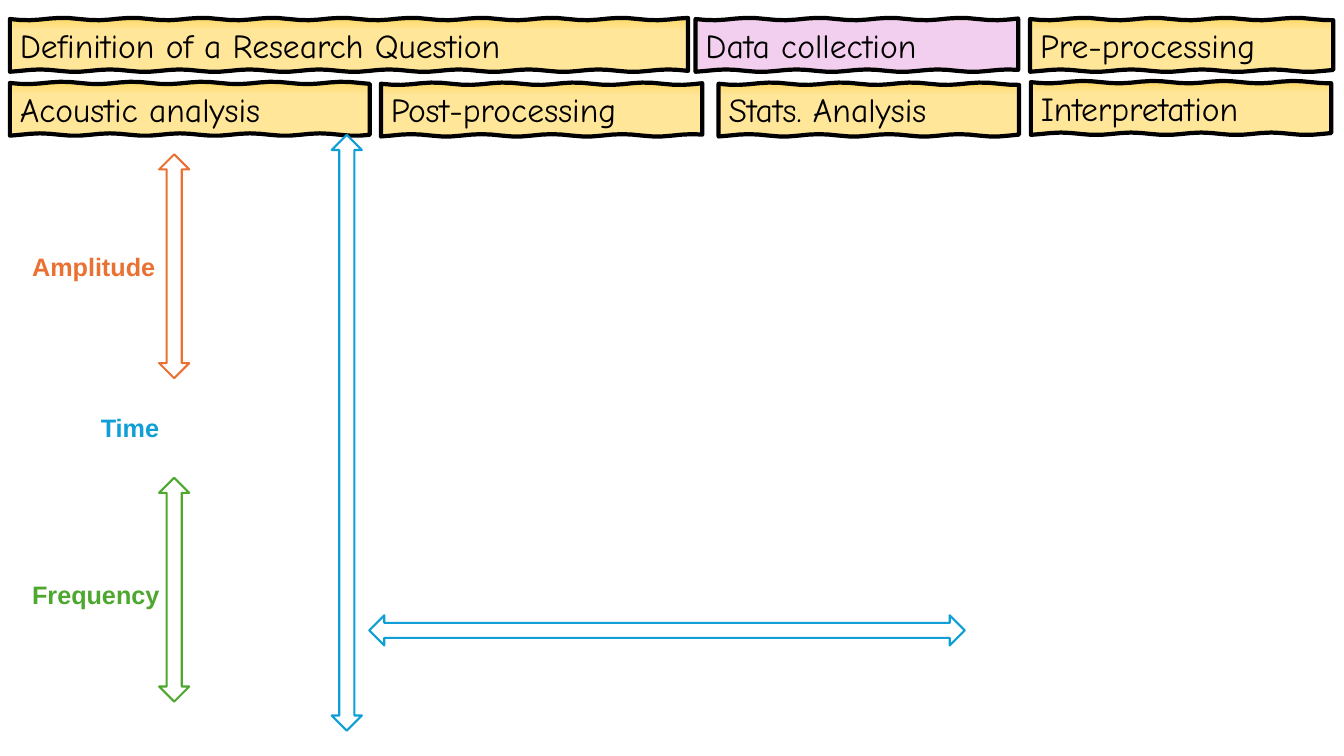
from math import pi, sin

from pptx import Presentation
from pptx.dml.color import RGBColor
from pptx.enum.shapes import MSO_SHAPE
from pptx.enum.text import MSO_ANCHOR, PP_ALIGN
from pptx.util import Cm, Pt

BLACK = RGBColor(0x00, 0x00, 0x00)
WHITE = RGBColor(0xFF, 0xFF, 0xFF)
GOLD = RGBColor(0xFF, 0xD9, 0x66)
CREAM = RGBColor(0xFF, 0xE6, 0x99)
PINK = RGBColor(0xF2, 0xCF, 0xEE)
ORANGE = RGBColor(0xE9, 0x71, 0x32)
GREEN = RGBColor(0x4E, 0xA7, 0x2E)
BLUE = RGBColor(0x0F, 0x9E, 0xD5)

STEP_HIGH = 1.3
WAVE = 0.03
ARROW_WIDE = 0.76
SHORT, LONG = 5.64, 15.01

# Each step: text, left, top, width, relative to the banner
STEPS = [
    ("Definition of a Research Question", 0, 0, 17.09),
    ("Data collection", 17.28, 0, 8.13),
    ("Pre-processing", 25.71, 0, 7.64),
    ("Acoustic analysis", 0, 1.61, 9.07),
    ("Post-processing", 9.35, 1.63, 8.1),
    ("Stats. Analysis", 17.86, 1.63, 7.57),
    ("Interpretation", 25.73, 1.59, 7.57),
]
CURRENT = "Data collection"

# Each arrow: colour, left, top, length, turn, relative to the axes region
ARROWS = [
    (ORANGE, 3.45, 0.49, SHORT, 0),
    (GREEN, 3.45, 8.64, SHORT, 0),
    (BLUE, 15.87, 4.98, LONG, 270),
    (BLUE, 7.8, 0, LONG, 0),
]
LABELS = [
    ("Amplitude", ORANGE, 0, 2.8),
    ("Time", BLUE, 1.73, 6.86),
    ("Frequency", GREEN, 0, 11.08),
]


def style(frame, text, font, size, color, bold=False):
    frame.text = text
    frame.word_wrap = True
    para = frame.paragraphs[0]
    para.alignment = PP_ALIGN.LEFT
    face = para.runs[0].font
    face.name, face.size, face.bold = font, Pt(size), bold
    face.color.rgb = color


def sketch(slide, left, top, width, high):
    """Return a box whose long edges waver as if drawn by hand."""
    count = int(width * 4)

    def edge(base, phase):
        return [(Cm(left + width * i / count),
                 Cm(base + WAVE * sin(phase + pi * i / 3.5)))
                for i in range(count + 1)]

    points = edge(top, 0) + edge(top + high, 2)[::-1]
    pen = slide.shapes.build_freeform(*points[0], scale=1.0)
    pen.add_line_segments(points[1:], close=True)
    return pen.convert_to_shape()


def add_step(slide, text, left, top, width):
    box = sketch(slide, left, top, width, STEP_HIGH)
    box.shadow.inherit = False
    box.line.color.rgb = BLACK
    box.line.width = Pt(3)
    if text == CURRENT:
        box.fill.solid()
        box.fill.fore_color.rgb = PINK
    else:
        box.fill.gradient()
        box.fill.gradient_angle = 270
        for stop, spot, color in zip(box.fill.gradient_stops, (0, 0.24), (GOLD, CREAM)):
            stop.position = spot
            stop.color.rgb = color
    style(box.text_frame, text, "Comic Neue", 24, BLACK)
    box.text_frame.vertical_anchor = MSO_ANCHOR.MIDDLE


def add_banner(slide, left, top):
    for text, x, y, width in STEPS:
        add_step(slide, text, left + x, top + y, width)


def add_axes(slide, left, top):
    for color, x, y, length, turn in ARROWS:
        arrow = slide.shapes.add_shape(
            MSO_SHAPE.UP_DOWN_ARROW, Cm(left + x), Cm(top + y), Cm(ARROW_WIDE), Cm(length))
        arrow.shadow.inherit = False
        arrow.rotation = turn
        arrow.fill.solid()
        arrow.fill.fore_color.rgb = WHITE
        arrow.line.color.rgb = color
        arrow.line.width = Pt(1.5)
    for text, color, x, y in LABELS:
        label = slide.shapes.add_textbox(Cm(left + x), Cm(top + y), Cm(4.22), Cm(1.02))
        style(label.text_frame, text, "Arial", 18, color, bold=True)


def main():
    deck = Presentation()
    deck.slide_width, deck.slide_height = Cm(33.87), Cm(19.05)
    slide = deck.slides.add_slide(deck.slide_layouts[6])
    add_banner(slide, 0.25, 0.48)
    add_axes(slide, 0.56, 3.4)
    deck.save("out.pptx")


if __name__ == "__main__":
    main()
